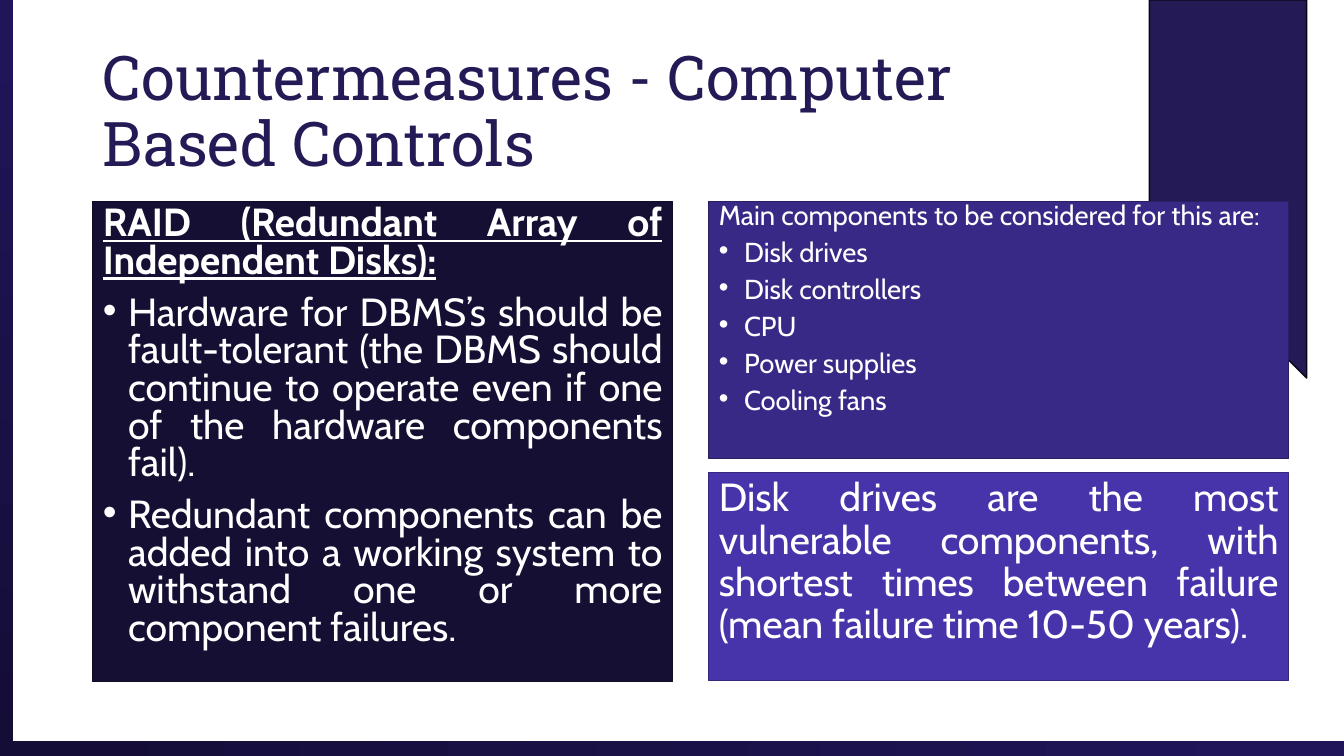
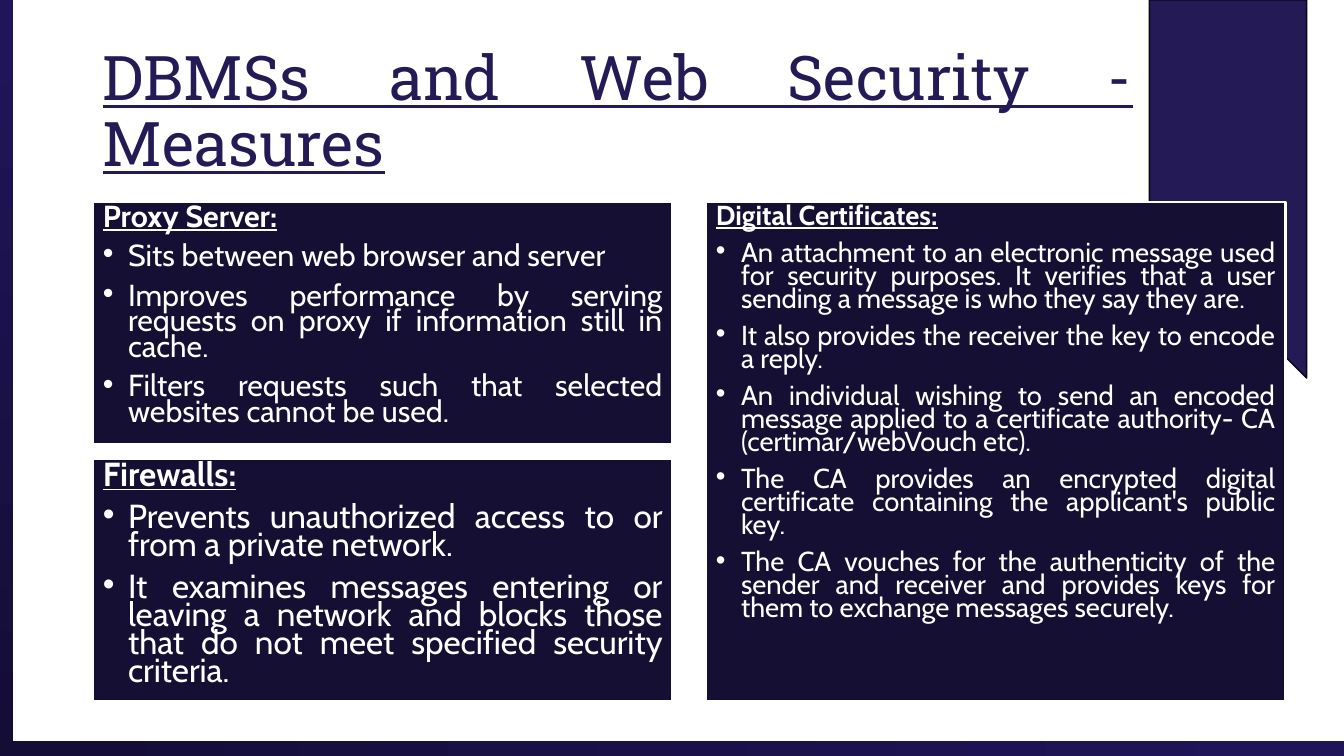
import dataclasses
import typing

import lxml.etree
import pptx
import pptx.dml.color
import pptx.enum.shapes
import pptx.enum.text
import pptx.oxml.ns
import pptx.util

Inches = pptx.util.Inches
Pt = pptx.util.Pt
Align = pptx.enum.text.PP_ALIGN


def rgb(code: str) -> pptx.dml.color.RGBColor:
    return pptx.dml.color.RGBColor.from_string(code)


# Theme: colours, fonts and type sizes
@dataclasses.dataclass(frozen=True)
class Theme:
    white: str = "FFFFFF"
    purple: str = "241A56"
    edge: str = "090716"
    dark: str = "150F33"
    rim: str = "100B26"
    mid: str = "392987"
    light: str = "4834AA"
    fade: tuple[str, str] = ("140D36", "21155A")
    head: str = "Roboto Slab"
    body: str = "Cabin"
    title: float = 44
    large: float = 28
    small: float = 19.6
    gap: float = 10
    indent: float = 0.25


THEME = Theme()


@dataclasses.dataclass(frozen=True)
class Panel:
    box: tuple[float, float, float, float]
    lead: str
    items: tuple[str, ...] = ()
    size: float = THEME.small
    pitch: float = 0.7
    strong: bool = True
    fill: str = THEME.dark
    line: str = THEME.white
    weight: float = 1.5


@dataclasses.dataclass(frozen=True)
class Page:
    title: str
    panels: tuple[Panel, ...]
    ruled: bool = False


# Panel grid
LEFT, TOP, WIDE = 0.92, 2, 5.75
RIGHT = 7.03
EAST = 7
HALF, LOW = 2.41, 4.55

PAGES = (
    Page("Countermeasures - Computer Based Controls", (
        Panel((LEFT, TOP, WIDE, 4.76),
              "RAID (Redundant Array of Independent Disks):",
              ("Hardware for DBMS’s should be fault-tolerant (the DBMS should "
               "continue to operate even if one of the hardware components fail).",
               "Redundant components can be added into a working system to "
               "withstand one or more component failures."),
              size=THEME.large, pitch=0.8, line=THEME.rim, weight=1),
        Panel((RIGHT, TOP, WIDE, 2.55),
              "Main components to be considered for this are:",
              ("Disk drives", "Disk controllers", "CPU", "Power supplies",
               "Cooling fans"),
              strong=False, fill=THEME.mid, line="2A1E64", weight=1),
        Panel((RIGHT, 4.69, WIDE, 2.06),
              "Disk drives are the most vulnerable components, with shortest "
              "times between failure (mean failure time 10-50 years).",
              size=THEME.large, pitch=0.9, strong=False,
              fill=THEME.light, line="35267E", weight=1),
    )),
    Page("DBMSs and Web Security - Measures", (
        Panel((LEFT, TOP, WIDE, HALF), "Proxy Server:",
              ("Sits between web browser and server",
               "Improves performance by serving requests on proxy if "
               "information still in cache.",
               "Filters requests such that selected websites cannot be used."),
              size=21.7),
        Panel((EAST, TOP, WIDE, 4.96), "Digital Certificates:",
              ("An attachment to an electronic message used for security "
               "purposes. It verifies that a user sending a message is who "
               "they say they are.",
               "It also provides the receiver the key to encode a reply.",
               "An individual wishing to send an encoded message applied to a "
               "certificate authority- CA (certimar/webVouch etc).",
               "The CA provides an encrypted digital certificate containing "
               "the applicant's public key.",
               "The CA vouches for the authenticity of the sender and receiver "
               "and provides keys for them to exchange messages securely.")),
        Panel((LEFT, LOW, WIDE, HALF), "Firewalls:",
              ("Prevents unauthorized access to or from a private network.",
               "It examines messages entering or leaving a network and blocks "
               "those that do not meet specified security criteria."),
              size=23.8),
    ), ruled=True),
)


# Text helpers
def place(shape: typing.Any, box: tuple[float, float, float, float]) -> None:
    shape.left, shape.top, shape.width, shape.height = map(Inches, box)


def style(para: typing.Any, face: str, size: float, tint: str,
          bold: bool, ruled: bool) -> None:
    for run in para.runs:
        font = run.font
        font.name, font.size = face, Pt(size)
        font.bold, font.underline = bold, ruled
        font.color.rgb = rgb(tint)


def mark(para: typing.Any, dotted: bool) -> None:
    """Set the indent and bullet of a paragraph."""
    props = para._p.get_or_add_pPr()
    step = Inches(THEME.indent) if dotted else 0
    props.set("marL", str(step))
    props.set("indent", str(-step))
    qn = pptx.oxml.ns.qn
    if dotted:
        lxml.etree.SubElement(props, qn("a:buFont")).set("typeface", "Arial")
        lxml.etree.SubElement(props, qn("a:buChar")).set("char", "•")
    else:
        lxml.etree.SubElement(props, qn("a:buNone"))


def setup(shape: typing.Any, text: str, anchor: typing.Any) -> typing.Any:
    frame = shape.text_frame
    frame.text = text
    frame.word_wrap = True
    frame.auto_size = pptx.enum.text.MSO_AUTO_SIZE.NONE
    frame.vertical_anchor = anchor
    return frame


# Slide parts
def draw_title(shape: typing.Any, page: Page) -> None:
    place(shape, (LEFT, 0.4, 10.42, 1.45))
    frame = setup(shape, page.title, pptx.enum.text.MSO_ANCHOR.MIDDLE)
    para = frame.paragraphs[0]
    para.alignment = Align.JUSTIFY if page.ruled else Align.LEFT
    para.line_spacing = 0.9
    style(para, THEME.head, THEME.title, THEME.purple, False, page.ruled)


def draw_panel(shape: typing.Any, panel: Panel) -> None:
    place(shape, panel.box)
    shape.fill.solid()
    shape.fill.fore_color.rgb = rgb(panel.fill)
    shape.line.color.rgb = rgb(panel.line)
    shape.line.width = Pt(panel.weight)
    text = "\n".join((panel.lead, *panel.items))
    frame = setup(shape, text, pptx.enum.text.MSO_ANCHOR.TOP)
    for rank, para in enumerate(frame.paragraphs):
        para.alignment = Align.JUSTIFY
        para.line_spacing = panel.pitch
        para.space_before, para.space_after = Pt(THEME.gap), Pt(0)
        mark(para, rank > 0)
        strong = panel.strong and rank == 0
        style(para, THEME.body, panel.size, THEME.white, strong, strong)


def draw_band(shapes: typing.Any, box: tuple[float, float, float, float],
              angle: float) -> typing.Any:
    band = shapes.add_shape(pptx.enum.shapes.MSO_SHAPE.RECTANGLE,
                            *map(Inches, box))
    band.shadow.inherit = False
    band.fill.gradient()
    band.fill.gradient_angle = angle
    for stop, code in zip(band.fill.gradient_stops, THEME.fade):
        stop.color.rgb = rgb(code)
    for stop, spot in zip(band.fill.gradient_stops, (0, 1)):
        stop.position = spot
    band.line.fill.background()
    return band


def draw_ribbon(shapes: typing.Any) -> typing.Any:
    points = [(11.4, 0), (12.96, 0), (12.96, 3.75), (12.18, 2.97), (11.4, 3.75)]
    spots = [(Inches(x), Inches(y)) for x, y in points]
    pen = shapes.build_freeform(*spots[0])
    pen.add_line_segments(spots[1:], close=True)
    ribbon = pen.convert_to_shape()
    ribbon.shadow.inherit = False
    ribbon.fill.solid()
    ribbon.fill.fore_color.rgb = rgb(THEME.purple)
    ribbon.line.color.rgb = rgb(THEME.edge)
    ribbon.line.width = Pt(1)
    return ribbon


def dress(deck: typing.Any, shapes: typing.Any) -> None:
    """Draw the shared ribbon and bands, then move them to the master."""
    parts = (draw_ribbon(shapes),
             draw_band(shapes, (0, 7.35, 13.33, 0.15), 0),
             draw_band(shapes, (0, 0, 0.13, 7.5), 90))
    tree = deck.slide_master.shapes.element
    for rank, part in enumerate(parts):
        part.element.xpath(".//p:cNvPr")[0].set("id", str(100 + rank))
        tree.insert(2 + rank, part.element)


def main() -> None:
    deck = pptx.Presentation()
    deck.slide_width, deck.slide_height = Inches(13.33), Inches(7.5)
    layout = deck.slide_layouts.get_by_name("Comparison")
    for rank, page in enumerate(PAGES):
        slide = deck.slides.add_slide(layout)
        if rank == 0:
            dress(deck, slide.shapes)
        title, *bodies = slide.placeholders
        draw_title(title, page)
        for body, panel in zip(bodies, page.panels):
            draw_panel(body, panel)
        for spare in bodies[len(page.panels):]:
            spare.element.getparent().remove(spare.element)
    deck.save("out.pptx")


if __name__ == "__main__":
    main()
